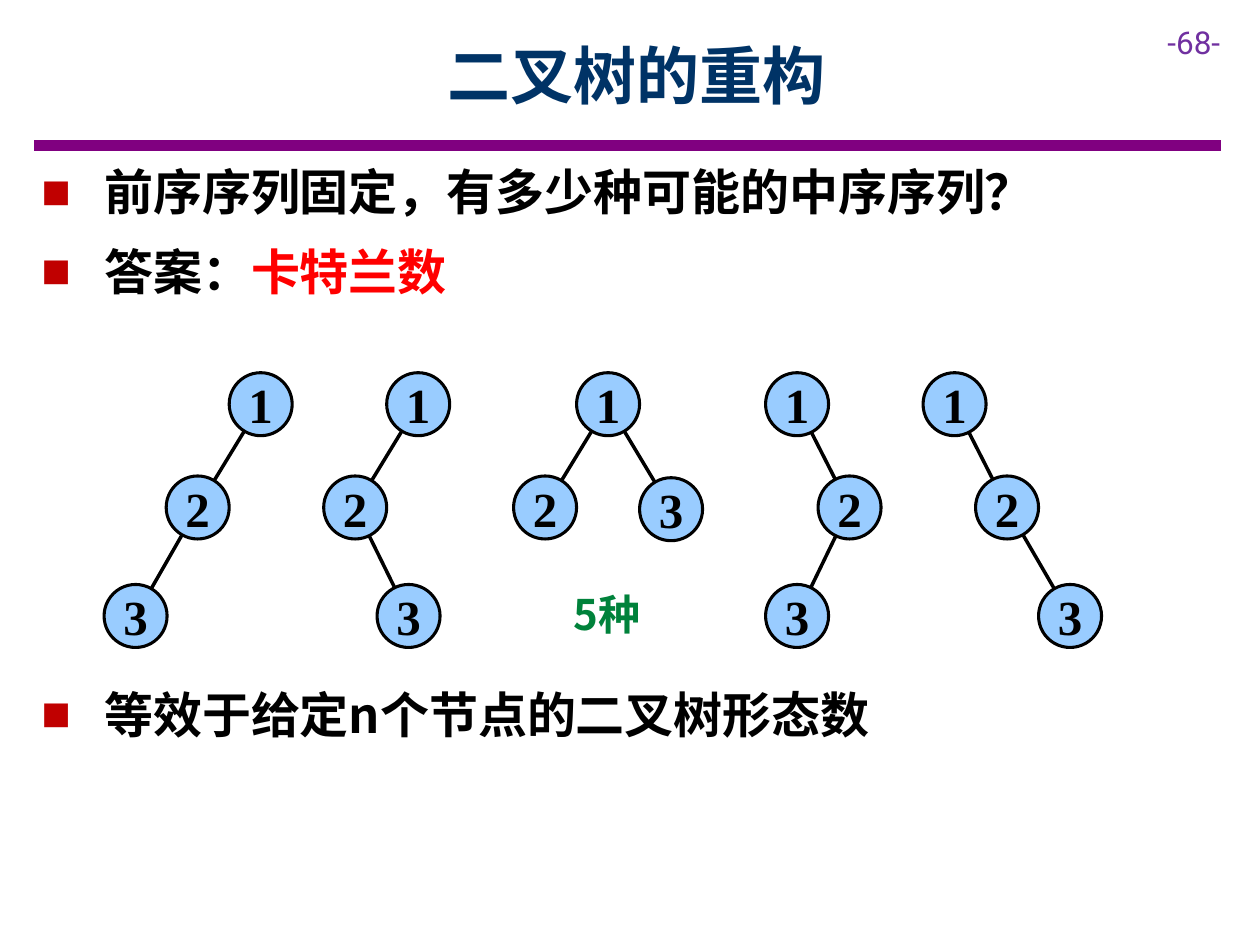
"""Build a slide on how many binary trees share one preorder sequence."""
from dataclasses import dataclass
from math import hypot

from lxml.etree import SubElement
from pptx import Presentation
from pptx.dml.color import RGBColor as Rgb
from pptx.enum.shapes import MSO_CONNECTOR as Connector, MSO_SHAPE as Preset
from pptx.enum.text import MSO_ANCHOR as Anchor, MSO_AUTO_SIZE as AutoSize, PP_ALIGN as Align
from pptx.oxml.ns import qn
from pptx.util import Pt


@dataclass(frozen=True)
class Theme:
    heading: str = "003366"
    rule: str = "800080"
    page: str = "7030A0"
    ink: str = "000000"
    accent: str = "FF0000"
    bullet: str = "C00000"
    node: str = "99CCFF"
    count: str = "00823B"
    title_size: int = 36
    body_size: int = 28
    count_size: int = 24
    page_size: int = 18
    cjk: str = "Noto Sans CJK SC"
    latin: str = "Roboto"
    serif: str = "Times New Roman"
    leading: float = 0.82


def apply(target, formats):
    for attribute, value in formats.items():
        setattr(target, attribute, value)


class SlideBuilder:
    """Hold the theme and the current slide, and draw each kind of element."""

    def __init__(self, slide, theme):
        self.slide = slide
        self.theme = theme

    def run(self, paragraph, text, size, color, face, bold=True):
        run = paragraph.add_run()
        run.text = text
        apply(run.font, {"name": face, "size": Pt(size), "bold": bold})
        run.font.color.rgb = Rgb.from_string(color)
        SubElement(run.font._element, qn("a:ea"), typeface=face)

    def title(self, text, left, top, width, height):
        heading = self.slide.shapes.title
        apply(heading, {"left": Pt(left), "top": Pt(top), "width": Pt(width), "height": Pt(height)})
        apply(heading.text_frame, {"vertical_anchor": Anchor.MIDDLE, "auto_size": AutoSize.NONE})
        paragraph = heading.text_frame.paragraphs[0]
        paragraph.alignment = Align.CENTER
        self.run(paragraph, text, self.theme.title_size, self.theme.heading, self.theme.cjk)

    def frame(self, left, top, width, height):
        frame = self.slide.shapes.add_textbox(Pt(left), Pt(top), Pt(width), Pt(height)).text_frame
        frame.word_wrap = True
        return frame

    def label(self, text, box, size, color, face, **formats):
        bold = formats.pop("bold", True)
        paragraph = self.frame(*box).paragraphs[0]
        apply(paragraph, formats)
        self.run(paragraph, text, size, color, face, bold)

    def bullets(self, items, box):
        frame = self.frame(*box)
        for index, (before, parts) in enumerate(items):
            paragraph = frame.add_paragraph() if index else frame.paragraphs[0]
            properties = paragraph._p.get_or_add_pPr()
            apply_indent = {"marL": Pt(36), "indent": -Pt(36)}
            for attribute, value in apply_indent.items():
                properties.set(attribute, str(value))
            tint = SubElement(properties, qn("a:buClr"))
            SubElement(tint, qn("a:srgbClr"), val=self.theme.bullet)
            SubElement(properties, qn("a:buFont"), typeface="Arial")
            SubElement(properties, qn("a:buChar"), char="■")
            apply(paragraph, {"space_before": Pt(before), "space_after": Pt(6),
                              "line_spacing": self.theme.leading})
            for text, color in parts:
                self.run(paragraph, text, self.theme.body_size, color, self.theme.cjk)

    def line(self, start, end, color, width):
        ends = [Pt(value) for value in (*start, *end)]
        line = self.slide.shapes.add_connector(Connector.STRAIGHT, *ends)
        line.line.color.rgb = Rgb.from_string(color)
        line.line.width = Pt(width)
        SubElement(line._element.spPr, qn("a:effectLst"))

    def edge(self, parent, child, inset=10):
        dx, dy = child[0] - parent[0], child[1] - parent[1]
        share = inset / hypot(dx, dy)
        start = (parent[0] + dx * share, parent[1] + dy * share)
        end = (child[0] - dx * share, child[1] - dy * share)
        self.line(start, end, self.theme.ink, 2)

    def node(self, key, center, diameter=36):
        left, top = (value - diameter / 2 for value in center)
        circle = self.slide.shapes.add_shape(
            Preset.OVAL, Pt(left), Pt(top), Pt(diameter), Pt(diameter))
        circle.shadow.inherit = False
        circle.fill.solid()
        circle.fill.fore_color.rgb = Rgb.from_string(self.theme.node)
        circle.line.color.rgb = Rgb.from_string(self.theme.ink)
        circle.line.width = Pt(1.75)
        apply(circle.text_frame, {"word_wrap": False, "vertical_anchor": Anchor.MIDDLE})
        paragraph = circle.text_frame.paragraphs[0]
        paragraph.alignment = Align.CENTER
        self.run(paragraph, str(key), self.theme.body_size, self.theme.ink, self.theme.serif)

    def tree(self, centers, edges):
        for parent, child in edges:
            self.edge(centers[parent - 1], centers[child - 1])
        for key, center in enumerate(centers, 1):
            self.node(key, center)


def main():
    theme = Theme()
    deck = Presentation()
    apply(deck, {"slide_width": Pt(720), "slide_height": Pt(540)})
    builder = SlideBuilder(deck.slides.add_slide(deck.slide_layouts[5]), theme)

    builder.line((19.5, 83), (697.5, 83), theme.rule, 6)
    builder.label("-68-", (660, 9.5, 60, 29), theme.page_size, theme.page, theme.latin, bold=False)
    builder.bullets([
        (0, [("前序序列固定，有多少种可能的中序序列？", theme.ink)]),
        (12, [("答案：", theme.ink), ("卡特兰数", theme.accent)]),
        (219.5, [("等效于给定n个节点的二叉树形态数", theme.ink)]),
    ], (16.5, 95, 669, 354))
    builder.title("二叉树的重构", 65, 6.5, 598, 72)

    top, middle, bottom = 231, 290, 352
    chain, fork = [(1, 2), (2, 3)], [(1, 2), (1, 3)]
    trees = [
        ((149, 113, 77.5), bottom, chain),
        ((239, 203, 233.5), bottom, chain),
        ((347.5, 311.5, 383.5), middle + 1, fork),
        ((455.5, 485.5, 455.5), bottom, chain),
        ((545.5, 575.5, 611.5), bottom, chain),
    ]
    for columns, last_row, edges in trees:
        builder.tree(list(zip(columns, (top, middle, last_row))), edges)
    builder.label("5种", (320.5, 338, 54, 65), theme.count_size, theme.count, theme.cjk,
                  line_spacing=theme.leading)
    deck.save("out.pptx")


if __name__ == "__main__":
    main()
